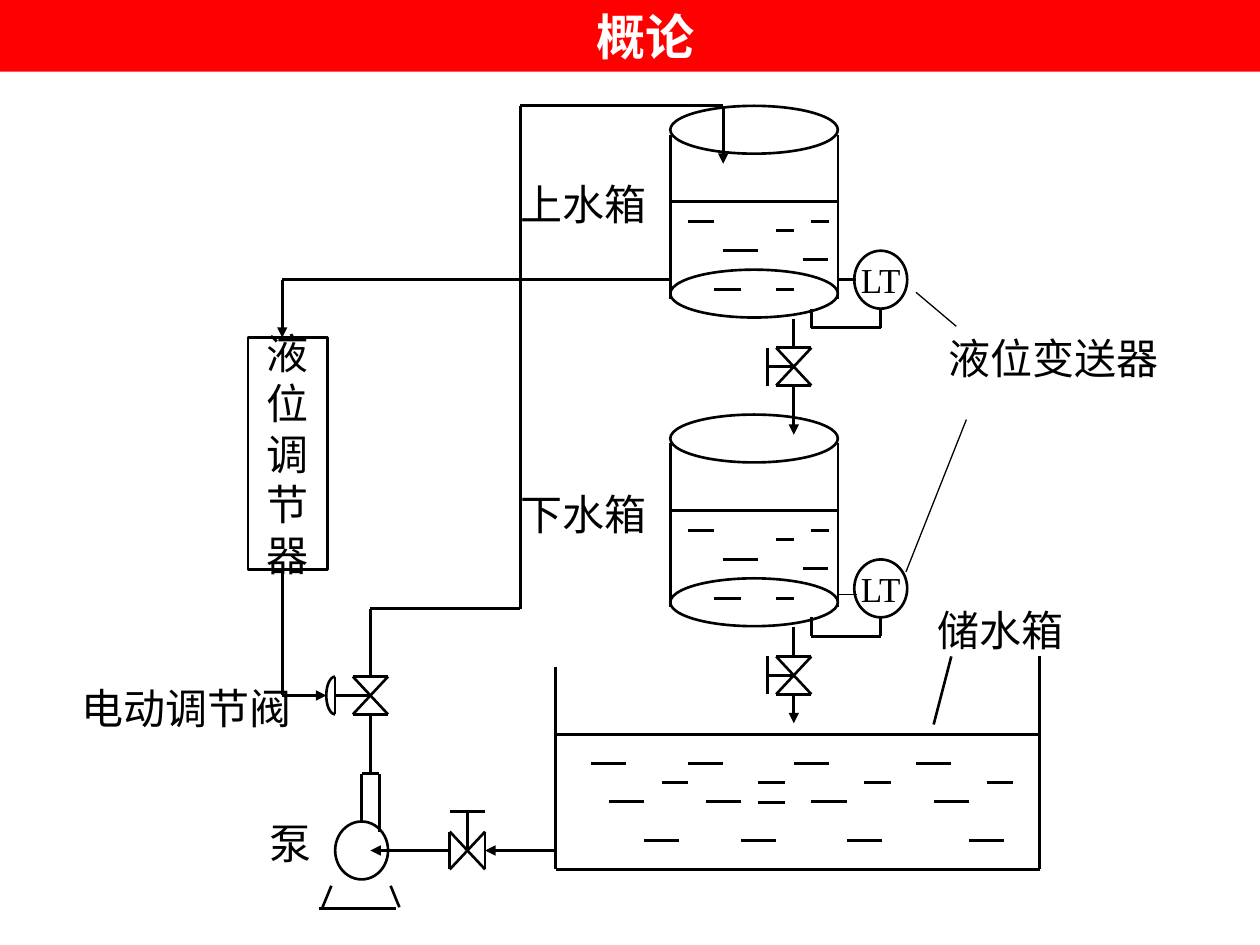
from math import cos, pi, sin

from lxml import etree
from pptx import Presentation, util as u
from pptx.dml.color import RGBColor
from pptx.enum import shapes, text
from pptx.oxml.ns import qn

THEME = {
    "ink": RGBColor(0, 0, 0), "band": RGBColor(255, 0, 0),
    "title_ink": RGBColor(255, 255, 255), "font": "Times New Roman",
    "title": 28, "label": 24, "sensor": 20, "pipe": 1.5, "leader": 0.75,
}

# Content: lengths in inches
TITLE = "概论"
CONTROLLER = "液位调节器"
SENSOR = "LT"
LABELS = [  # text, left, top, width
    ("液位变送器", 7.43, 2.59, 2.06),
    ("电动调节阀", 0.55, 5.37, 2.23),
    ("泵", 2.04, 6.44, 0.63),
    ("储水箱", 7.34, 4.75, 1.66),
    ("上水箱", 4.03, 1.37, 1.29),
    ("下水箱", 4.03, 3.83, 1.29),
]

# Tanks: left, width and tops; ripples are x, drop below the top, length
TANK_LEFT, TANK_WIDTH = 5.32, 1.33
TANKS = [(0.84, 0.39), (3.29, 0.23)]  # top, length of outlet arrow
TANK_RIPPLES = [(5.46, 0.92, 0.21), (6.16, 0.99, 0.14), (5.74, 1.15, 0.28),
                (6.37, 1.22, 0.20), (5.67, 1.46, 0.21), (6.16, 1.46, 0.14),
                (6.44, 0.92, 0.14)]

# Reservoir ripples: one cluster repeated at each start
CLUSTER_STARTS = [4.69, 5.46, 6.30, 7.27]
CLUSTER = [(0, 6.06, 0.28), (0.14, 6.36, 0.28),
           (0.42, 6.67, 0.28), (0.56, 6.21, 0.21)]
EXTRA_RIPPLE = (6.02, 6.37, 0.21)

PIPES = [  # points along each run
    [(4.41, 5.29), (4.41, 6.9), (8.25, 6.9), (8.25, 5.21)],  # reservoir walls
    [(4.41, 5.83), (8.25, 5.83)],                            # reservoir level
    [(2.63, 7.03), (2.56, 7.2)],                             # pump stand
    [(3.1, 7.03), (3.17, 7.2)],
    [(2.53, 7.21), (3.14, 7.21)],
    [(2.87, 6.52), (2.87, 6.14), (3.01, 6.14), (3.01, 6.6)], # pump outlet
    [(2.94, 6.13), (2.94, 5.67)],
    [(7.55, 5.21), (7.41, 5.75)],                            # reservoir pointer
]
FLOWS = [  # runs that end in an arrowhead
    [(4.41, 6.75), (3.85, 6.75)],
    [(3.57, 6.75), (2.94, 6.75)],
    [(2.94, 5.37), (2.94, 4.83), (4.13, 4.83), (4.13, 0.84),
     (5.74, 0.84), (5.74, 1.3)],
    [(2.24, 4.52), (2.24, 5.52), (2.59, 5.52)],
    [(5.32, 2.22), (2.24, 2.22), (2.24, 2.68)],
]
LEADERS = [
    [(6.64, 4.72), (6.8, 4.72)],
    [(7.67, 3.33), (7.19, 4.54)],
    [(7.59, 2.59), (7.27, 2.32)],
]

deck = Presentation()
deck.slide_width, deck.slide_height = u.Inches(10), u.Inches(7.5)
page = deck.slides.add_slide(deck.slide_layouts[6])


def run_line(points, weight=THEME["pipe"], arrow=False):
    """Draw straight segments through the points."""
    for start, end in zip(points, points[1:]):
        line = page.shapes.add_connector(
            shapes.MSO_CONNECTOR.STRAIGHT, *map(u.Inches, start + end))
        line.line.color.rgb = THEME["ink"]
        line.line.width = u.Pt(weight)
        etree.SubElement(line._element.spPr, qn("a:effectLst"))
    if arrow:
        etree.SubElement(line.line._get_or_add_ln(), qn("a:tailEnd"),
                         type="triangle")


def outline(shape):
    shape.shadow.inherit = False
    shape.fill.background()
    shape.line.color.rgb = THEME["ink"]
    shape.line.width = u.Pt(THEME["pipe"])
    return shape


def add_outline(kind, *place):
    return outline(page.shapes.add_shape(kind, *map(u.Inches, place)))


def write(box, lines, size, color=THEME["ink"], align=text.PP_ALIGN.CENTER,
          bold=False, wrap=False, anchor=text.MSO_ANCHOR.MIDDLE):
    frame = box.text_frame
    frame.word_wrap, frame.vertical_anchor = wrap, anchor
    for index, words in enumerate(lines):
        para = frame.add_paragraph() if index else frame.paragraphs[0]
        para.alignment = align
        span = para.add_run()
        span.text = words
        span.font.name, span.font.size = THEME["font"], u.Pt(size)
        span.font.bold, span.font.color.rgb = bold, color


def ripple(x, y, length):
    run_line([(x, y), (x + length, y)])


def valve(x, y, stem, upright=True):
    """Bow-tie valve; its stem goes left if upright, else up."""
    left, right, top, bottom = x - 0.14, x + 0.14, y - 0.15, y + 0.15
    if upright:
        body = [(left, top), (right, top), (left, bottom), (right, bottom)]
        tip, handle = (x - stem, y), [(x - stem, top), (x - stem, bottom)]
    else:
        body = [(left, top), (left, bottom), (right, top), (right, bottom)]
        tip, handle = (x, y - stem), [(left, y - stem), (right, y - stem)]
    run_line(body + body[:1])
    run_line([tip, (x, y)])
    run_line(handle)


def tank(top, outlet):
    """Cylinder with water, level sensor, and valve below."""
    right = TANK_LEFT + TANK_WIDTH
    for y in (top, top + 1.3):
        add_outline(OVAL, TANK_LEFT, y, TANK_WIDTH, 0.38)
    for x in (TANK_LEFT, right):
        run_line([(x, top + 0.23), (x, top + 1.53)])
    ripple(TANK_LEFT, top + 0.76, TANK_WIDTH)
    for x, drop, length in TANK_RIPPLES:
        ripple(x, top + drop, length)
    run_line([(6.44, top + 1.61), (6.44, top + 1.76),
              (6.99, top + 1.76), (6.99, top + 1.61)])
    sensor = add_outline(OVAL, 6.78, top + 1.15, 0.42, 0.46)
    write(sensor, [SENSOR], THEME["sensor"])
    run_line([(6.3, top + 1.69), (6.3, top + 1.92)])
    valve(6.3, top + 2.07, 0.21)
    run_line([(6.3, top + 2.22), (6.3, top + 2.22 + outlet)], arrow=True)


OVAL, RECTANGLE = shapes.MSO_SHAPE.OVAL, shapes.MSO_SHAPE.RECTANGLE

# Tanks and reservoir water
for top, outlet in TANKS:
    tank(top, outlet)
for start in CLUSTER_STARTS:
    for shift, y, length in CLUSTER:
        ripple(start + shift, y, length)
ripple(*EXTRA_RIPPLE)

# Pipes, pump and valves
for points in PIPES:
    run_line(points)
for points in FLOWS:
    run_line(points, arrow=True)
run_line([(6.65, 2.22), (6.79, 2.22)])
add_outline(OVAL, 2.66, 6.52, 0.42, 0.46)
valve(3.71, 6.75, 0.31, upright=False)
valve(2.94, 5.52, 0.28)

# Domed actuator of the control valve
angles = [pi * step / 16 - pi / 2 for step in range(17)]
dome = [(u.Inches(2.66 - 0.07 * cos(a)), u.Inches(5.52 + 0.15 * sin(a)))
        for a in angles]
builder = page.shapes.build_freeform(*dome[0])
builder.add_line_segments(dome[1:], close=False)
outline(builder.convert_to_shape())

# Controller, labels and leaders
write(add_outline(RECTANGLE, 1.97, 2.68, 0.63, 1.84), CONTROLLER,
      THEME["label"])
for words, left, top, width in LABELS:
    box = page.shapes.add_textbox(*map(u.Inches, (left, top, width, 0.5)))
    write(box, [words], THEME["label"], align=text.PP_ALIGN.LEFT, wrap=True,
          anchor=text.MSO_ANCHOR.TOP)
for points in LEADERS:
    run_line(points, THEME["leader"])

# Title band
band = add_outline(RECTANGLE, 0, 0, 10, 0.57)
band.fill.solid()
band.fill.fore_color.rgb = THEME["band"]
band.line.fill.background()
band.text_frame.margin_left = u.Inches(0.35)
write(band, [TITLE], THEME["title"], THEME["title_ink"], bold=True, wrap=True,
      anchor=text.MSO_ANCHOR.TOP)

deck.save("out.pptx")
